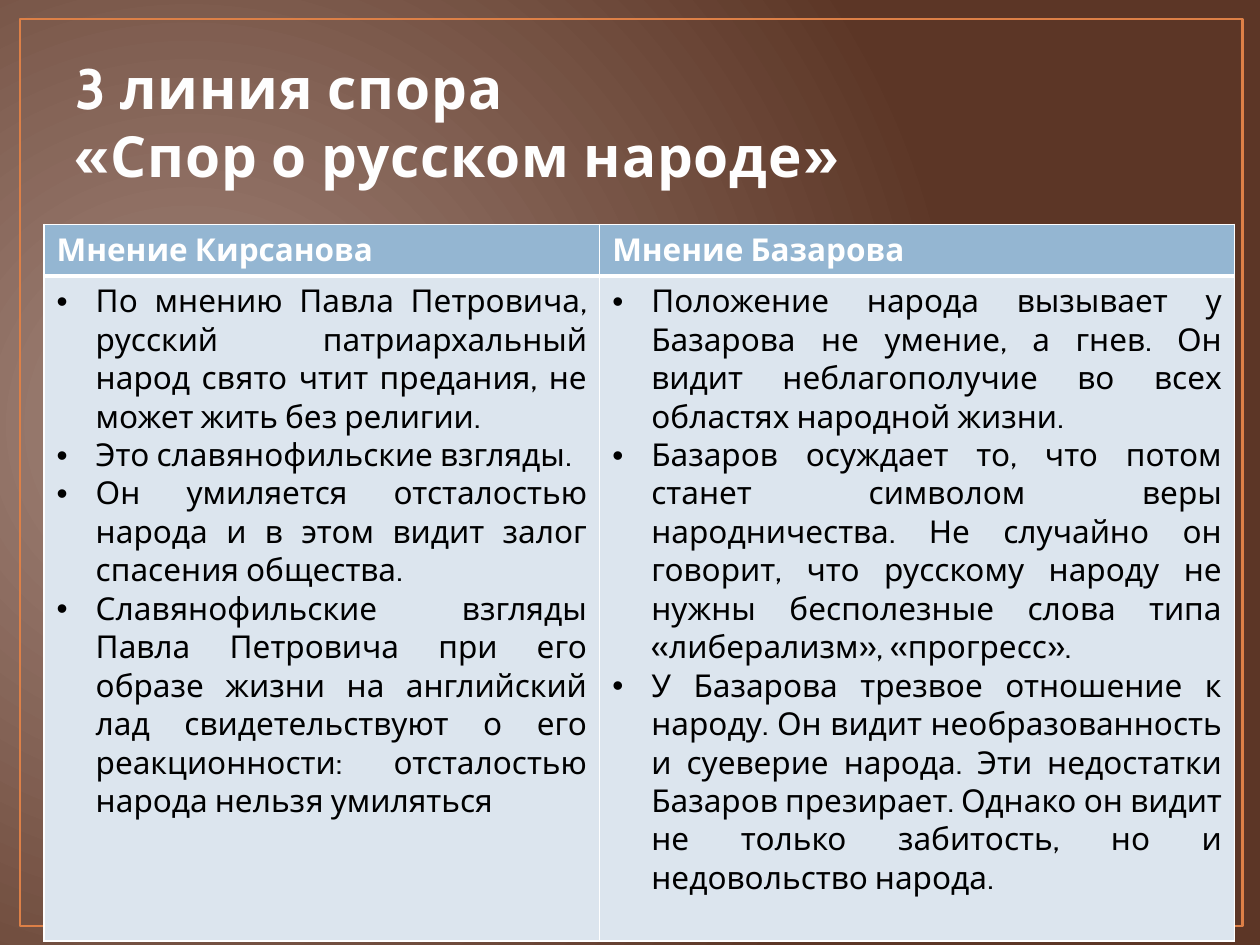
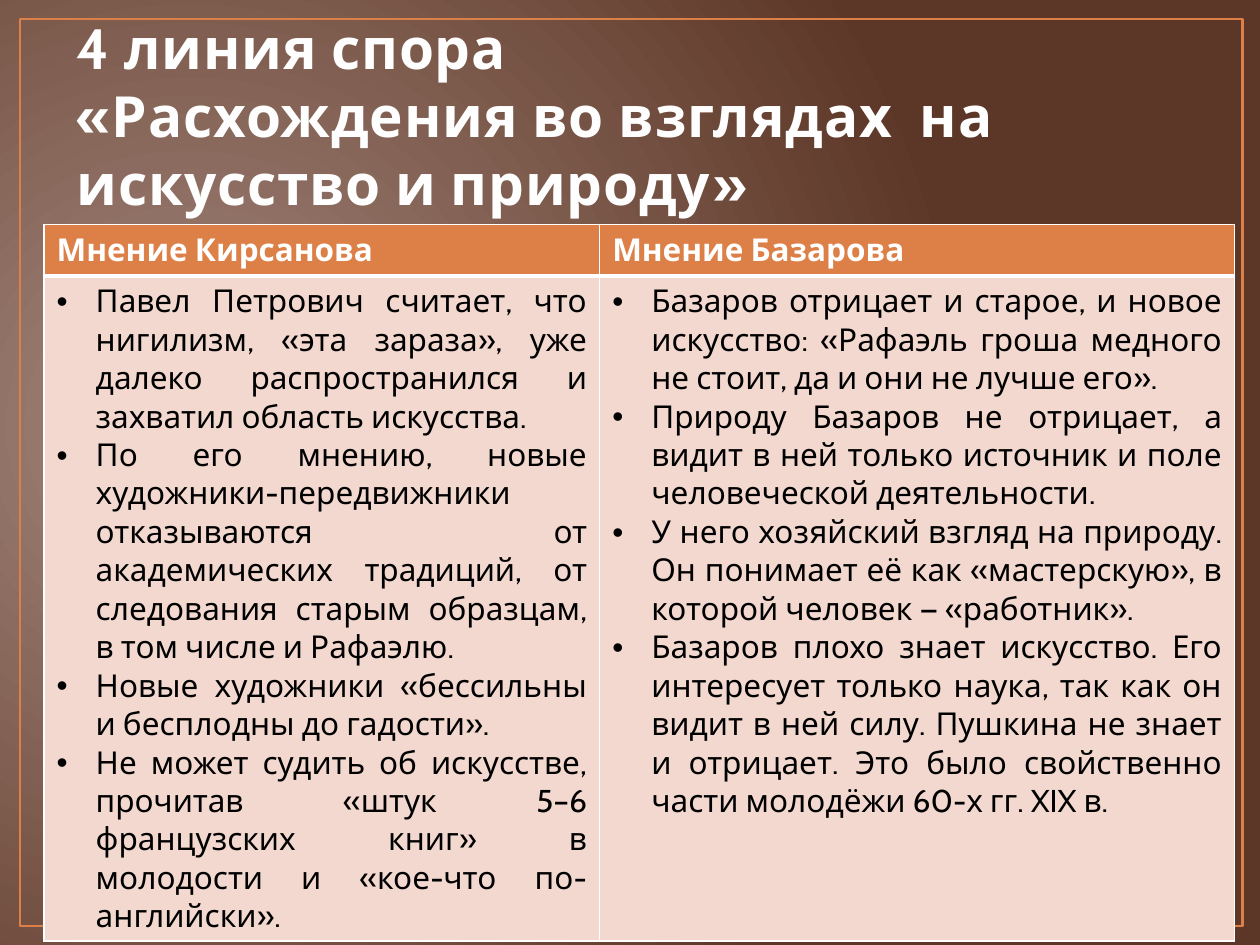
from pptx import Presentation
from pptx.dml.color import RGBColor
from pptx.enum.shapes import MSO_SHAPE
from pptx.enum.text import MSO_ANCHOR, PP_ALIGN
from pptx.oxml import parse_xml
from pptx.oxml.ns import nsdecls, qn
from pptx.util import Inches, Pt

HUES = {
    "glow": "A3867B", "brown": "5C3626", "orange": "DD8047",
    "title": "FEFEFE", "edge": "355D7E", "white": "FFFFFF", "ink": "000000",
    "blue": "94B6D2", "pale": "DCE5EE", "rose": "F2D8CF",
}
FACE = "Cabin"
NS = nsdecls("a")
HEADS = ["Мнение Кирсанова", "Мнение Базарова"]
SPLIT = [44.1, 50.4]
TALL = [5.47, 70.4]

PAGES = [
    {
        "title": "3 линия спора\n«Спор о русском народе»",
        "spot": (5, 4),
        "fills": ("blue", "pale"),
        "views": [
            [
                "По мнению Павла Петровича, русский патриархальный народ свято чтит предания, не может жить без религии.",
                "Это славянофильские взгляды.",
                "Он умиляется отсталостью народа и в этом видит залог спасения общества.",
                "Славянофильские взгляды Павла Петровича при его образе жизни на английский лад свидетельствуют о его реакционности: отсталостью народа нельзя умиляться",
            ],
            [
                "Положение народа вызывает у Базарова не умение, а гнев. Он видит неблагополучие во всех областях народной жизни.",
                "Базаров осуждает то, что потом станет символом веры народничества. Не случайно он говорит, что русскому народу не нужны бесполезные слова типа «либерализм», «прогресс».",
                "У Базарова трезвое отношение к народу. Он видит необразованность и суеверие народа. Эти недостатки Базаров презирает. Однако он видит не только забитость, но и недовольство народа.",
            ],
        ],
    },
    {
        "title": "4 линия спора\n«Расхождения во взглядах  на искусство и природу»",
        "spot": (5.1, 6.93),
        "fills": ("orange", "rose"),
        "views": [
            [
                "Павел Петрович считает, что нигилизм, «эта зараза», уже далеко распространился и захватил область искусства.",
                "По его мнению, новые художники-передвижники отказываются от академических традиций, от следования старым образцам, в том числе и Рафаэлю.",
                "Новые художники «бессильны и бесплодны до гадости».",
                "Не может судить об искусстве, прочитав «штук 5–6 французских книг» в молодости и «кое-что по-английски».",
            ],
            [
                "Базаров отрицает и старое, и новое искусство: «Рафаэль гроша медного не стоит, да и они не лучше его».",
                "Природу Базаров не отрицает, а видит в ней только источник и поле человеческой деятельности.",
                "У него хозяйский взгляд на природу. Он понимает её как «мастерскую», в которой человек — «работник».",
                "Базаров плохо знает искусство. Его интересует только наука, так как он видит в ней силу. Пушкина не знает и отрицает. Это было свойственно части молодёжи 60-х гг. XIX в.",
            ],
        ],
    },
]

deck = Presentation()
deck.slide_width, deck.slide_height = Inches(10), Inches(7.5)
COL, ROW = deck.slide_width / 100, deck.slide_height / 100


def grid(x, y, w, h):
    return int(x * COL), int(y * ROW), int(w * COL), int(h * ROW)


def style(par, size, hue, bold):
    font = par.font
    font.name, font.size, font.bold = FACE, Pt(size), bold
    font.color.rgb = RGBColor.from_string(HUES[hue])


for page in PAGES:
    slide = deck.slides.add_slide(deck.slide_layouts[6])

    back = slide.background.fill
    back.solid()
    bg = slide.background._cSld.bg.bgPr
    bg.replace(bg.find(qn("a:solidFill")), parse_xml(
        f'<a:gradFill {NS} rotWithShape="1"><a:gsLst>'
        f'<a:gs pos="0"><a:srgbClr val="{HUES["glow"]}"/></a:gs>'
        f'<a:gs pos="100000"><a:srgbClr val="{HUES["brown"]}"/></a:gs></a:gsLst>'
        '<a:path path="circle"><a:fillToRect l="15000" t="50000" r="85000" b="60000"/>'
        '</a:path></a:gradFill>'))

    frame = slide.shapes.add_shape(MSO_SHAPE.RECTANGLE, *grid(1.6, 2, 97, 96))
    frame.shadow.inherit = False
    frame.fill.background()
    frame.line.color.rgb = RGBColor.from_string(HUES["orange"])
    frame.line.width = Pt(1.5)

    text = slide.shapes.add_textbox(*grid(*page["spot"], 90, 16.67)).text_frame
    text.word_wrap = True
    text.vertical_anchor = MSO_ANCHOR.BOTTOM
    par = text.paragraphs[0]
    par.text = page["title"]
    style(par, 32.4, "title", True)
    props = par._p.pPr.find(qn("a:defRPr"))
    props.set("spc", "50")
    props.insert(0, parse_xml(
        f'<a:ln {NS} w="{Pt(1.05)}"><a:solidFill>'
        f'<a:srgbClr val="{HUES["edge"]}"/></a:solidFill></a:ln>'))

    table = slide.shapes.add_table(
        2, 2, *grid(3.5, 23.73, sum(SPLIT), sum(TALL))).table
    table.horz_banding = False
    for r, high in enumerate(TALL):
        table.rows[r].height = int(high * ROW)
    for c, wide in enumerate(SPLIT):
        table.columns[c].width = int(wide * COL)
        for r, lines in enumerate([[HEADS[c]], page["views"][c]]):
            cell = table.cell(r, c)
            cell.fill.solid()
            cell.fill.fore_color.rgb = RGBColor.from_string(HUES[page["fills"][r]])
            for i, side in enumerate("LRTB"):
                thick = 3 if (r, side) in [(0, "B"), (1, "T")] else 1
                cell._tc.tcPr.insert(i, parse_xml(
                    f'<a:ln{side} {NS} w="{Pt(thick)}"><a:solidFill>'
                    f'<a:srgbClr val="{HUES["white"]}"/></a:solidFill></a:ln{side}>'))
            cell.text = "\n".join(lines)
            for par in cell.text_frame.paragraphs:
                if r:
                    par.alignment = PP_ALIGN.JUSTIFY
                    props = par._p.get_or_add_pPr()
                    dent = int(3.1 * COL)
                    props.set("marL", str(dent))
                    props.set("indent", str(-dent))
                    props.append(parse_xml(f'<a:buFont {NS} typeface="Arial"/>'))
                    props.append(parse_xml(f'<a:buChar {NS} char="•"/>'))
                style(par, 18, "ink" if r else "white", not r)

deck.save("out.pptx")
